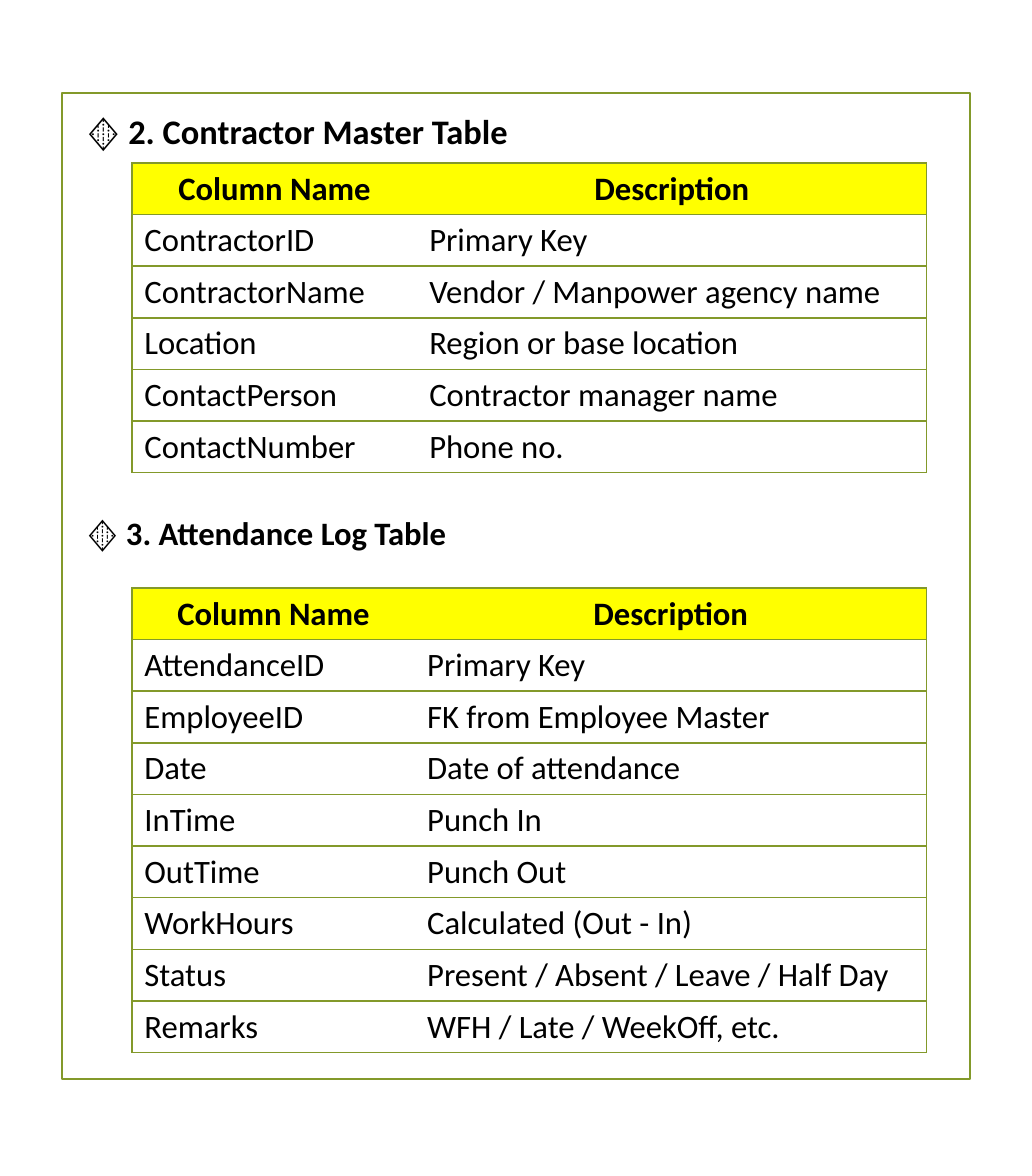
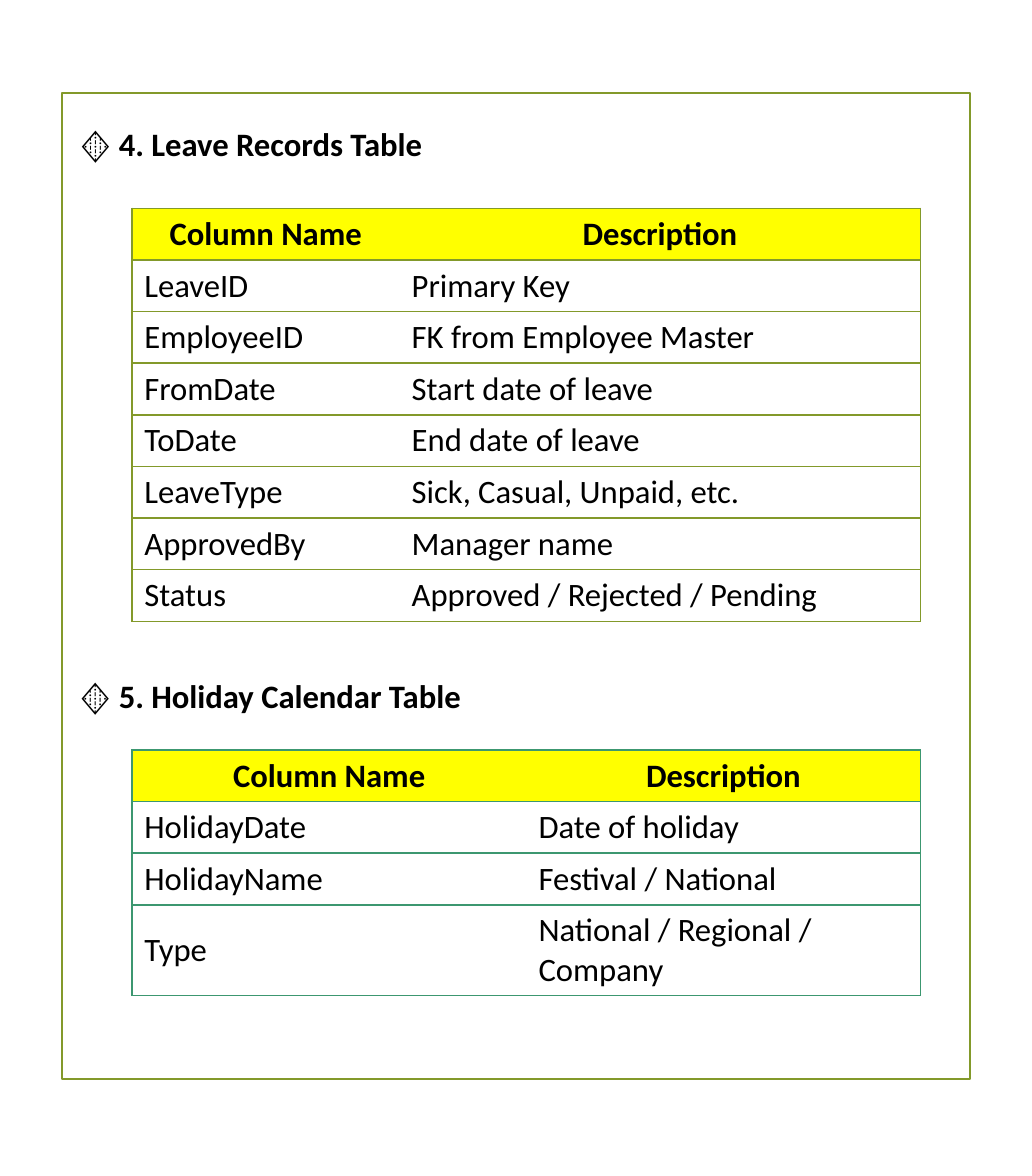
"""Build two slides that describe the tables of an attendance database."""
import pptx
import pptx.dml.color
import pptx.enum.shapes
import pptx.enum.text
import pptx.oxml
import pptx.oxml.ns
import pptx.util

PX = 7620
SLIDE_WIDTH, SLIDE_HEIGHT = 1000, 1140
FRAME = (60, 90, 880, 956)
TABLE_LEFT = 128
ROW_HEIGHT = 50
FONT = "Calibri"
TEXT_SIZE = 19

BLACK = pptx.dml.color.RGBColor(0x00, 0x00, 0x00)
WHITE = pptx.dml.color.RGBColor(0xFF, 0xFF, 0xFF)
YELLOW = pptx.dml.color.RGBColor(0xFF, 0xFF, 0x00)
OLIVE = pptx.dml.color.RGBColor(0x83, 0x99, 0x2A)
GREEN = pptx.dml.color.RGBColor(0x3C, 0x97, 0x70)

HEADER = ("Column Name", "Description")

CONTRACTOR = {
    "heading": "🔶 2. Contractor Master Table",
    "heading_box": (72, 101, 448, 52),
    "heading_size": 20,
    "top": 158,
    "columns": (276, 494),
    "rows": [
        ("ContractorID", "Primary Key"),
        ("ContractorName", "Vendor / Manpower agency name"),
        ("Location", "Region or base location"),
        ("ContactPerson", "Contractor manager name"),
        ("ContactNumber", "Phone no."),
    ],
}
ATTENDANCE = {
    "heading": "🔶 3. Attendance Log Table",
    "heading_box": (72, 491, 391, 50),
    "top": 570,
    "columns": (274, 496),
    "rows": [
        ("AttendanceID", "Primary Key"),
        ("EmployeeID", "FK from Employee Master"),
        ("Date", "Date of attendance"),
        ("InTime", "Punch In"),
        ("OutTime", "Punch Out"),
        ("WorkHours", "Calculated (Out - In)"),
        ("Status", "Present / Absent / Leave / Half Day"),
        ("Remarks", "WFH / Late / WeekOff, etc."),
    ],
}
LEAVE = {
    "heading": "🔶 4. Leave Records Table",
    "heading_box": (65, 114, 373, 51),
    "top": 202,
    "columns": (259, 505),
    "rows": [
        ("LeaveID", "Primary Key"),
        ("EmployeeID", "FK from Employee Master"),
        ("FromDate", "Start date of leave"),
        ("ToDate", "End date of leave"),
        ("LeaveType", "Sick, Casual, Unpaid, etc."),
        ("ApprovedBy", "Manager name"),
        ("Status", "Approved / Rejected / Pending"),
    ],
}
HOLIDAY = {
    "heading": "🔶 5. Holiday Calendar Table",
    "heading_box": (65, 649, 411, 50),
    "top": 727,
    "columns": (382, 382),
    "last_row_height": 88,
    "border": GREEN,
    "rows": [
        ("HolidayDate", "Date of holiday"),
        ("HolidayName", "Festival / National"),
        ("Type", "National / Regional / Company"),
    ],
}
SLIDES = [(CONTRACTOR, ATTENDANCE), (LEAVE, HOLIDAY)]


def emu(box):
    return [length * PX for length in box]


def write(text_frame, text, size, bold):
    text_frame.text = text
    font = text_frame.paragraphs[0].runs[0].font
    font.name = FONT
    font.size = pptx.util.Pt(size)
    font.bold = bold
    font.color.rgb = BLACK


def set_borders(cell, color, hidden_side):
    properties = cell._tc.get_or_add_tcPr()
    for index, side in enumerate(("lnL", "lnR", "lnT", "lnB")):
        if side == hidden_side:
            paint = "<a:noFill/>"
        else:
            paint = f'<a:solidFill><a:srgbClr val="{color}"/></a:solidFill>'
        line = pptx.oxml.parse_xml(
            f'<a:{side} {pptx.oxml.ns.nsdecls("a")} w="12700">{paint}</a:{side}>'
        )
        properties.insert(index, line)


def add_frame(slide):
    frame = slide.shapes.add_shape(
        pptx.enum.shapes.MSO_SHAPE.RECTANGLE, *emu(FRAME)
    )
    frame.shadow.inherit = False
    frame.fill.background()
    frame.line.color.rgb = OLIVE
    frame.line.width = pptx.util.Pt(1.25)


def add_heading(slide, section):
    heading = slide.shapes.add_textbox(*emu(section["heading_box"]))
    text_frame = heading.text_frame
    write(text_frame, section["heading"], section.get("heading_size", TEXT_SIZE), True)
    text_frame.word_wrap = False
    text_frame.vertical_anchor = pptx.enum.text.MSO_ANCHOR.MIDDLE


def add_field_table(slide, section):
    rows = [HEADER] + section["rows"]
    heights = [ROW_HEIGHT] * len(rows)
    heights[-1] = section.get("last_row_height", ROW_HEIGHT)
    columns = section["columns"]
    box = (TABLE_LEFT, section["top"], sum(columns), sum(heights))
    table = slide.shapes.add_table(len(rows), len(columns), *emu(box)).table
    table.first_row = False
    table.horz_banding = False
    for column, width in zip(table.columns, columns):
        column.width = width * PX
    for row_index, (row, height) in enumerate(zip(rows, heights)):
        table.rows[row_index].height = height * PX
        is_header = row_index == 0
        for column_index, text in enumerate(row):
            cell = table.cell(row_index, column_index)
            write(cell.text_frame, text, TEXT_SIZE, is_header)
            if is_header:
                paragraph = cell.text_frame.paragraphs[0]
                paragraph.alignment = pptx.enum.text.PP_ALIGN.CENTER
            cell.vertical_anchor = pptx.enum.text.MSO_ANCHOR.MIDDLE
            cell.fill.solid()
            cell.fill.fore_color.rgb = YELLOW if is_header else WHITE
            hidden_side = "lnL" if column_index else "lnR"
            set_borders(cell, section.get("border", OLIVE), hidden_side)


def main():
    presentation = pptx.Presentation()
    presentation.slide_width = SLIDE_WIDTH * PX
    presentation.slide_height = SLIDE_HEIGHT * PX
    for sections in SLIDES:
        slide = presentation.slides.add_slide(presentation.slide_layouts[6])
        add_frame(slide)
        for section in sections:
            add_heading(slide, section)
            add_field_table(slide, section)
    presentation.save("out.pptx")


if __name__ == "__main__":
    main()
